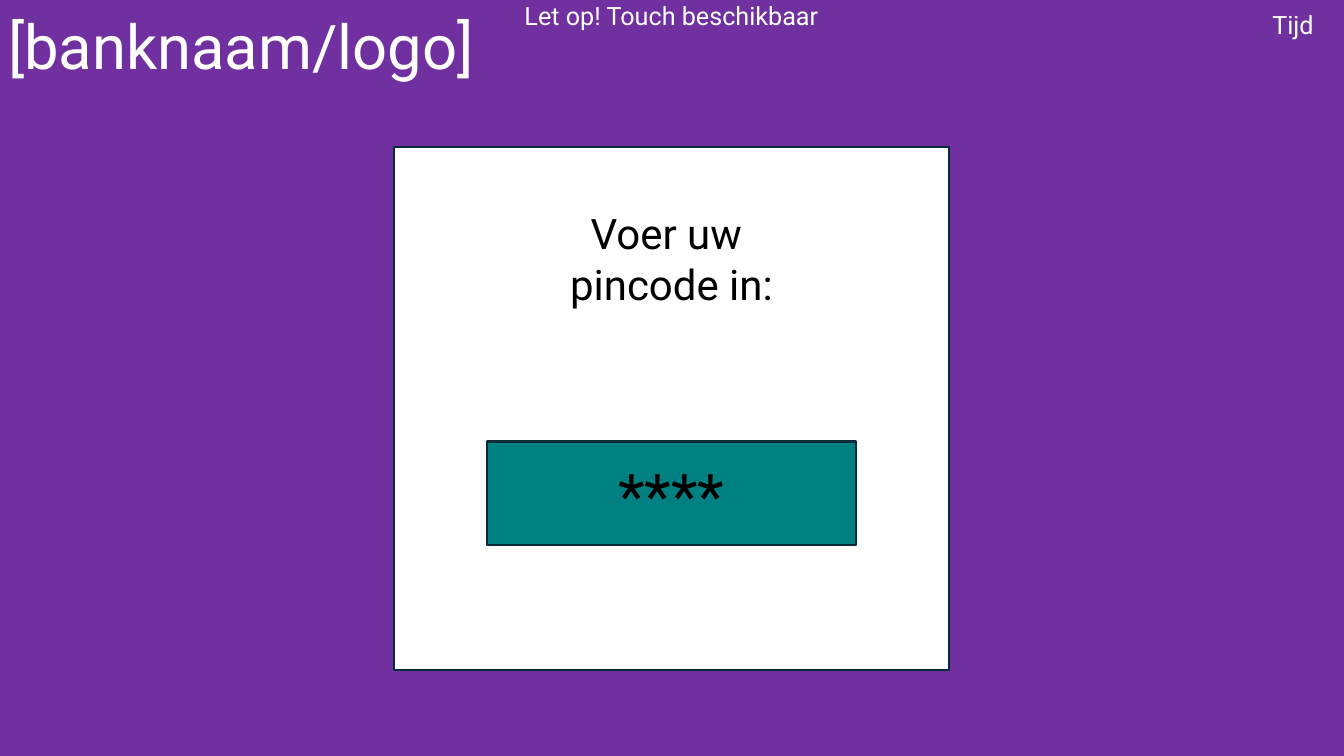
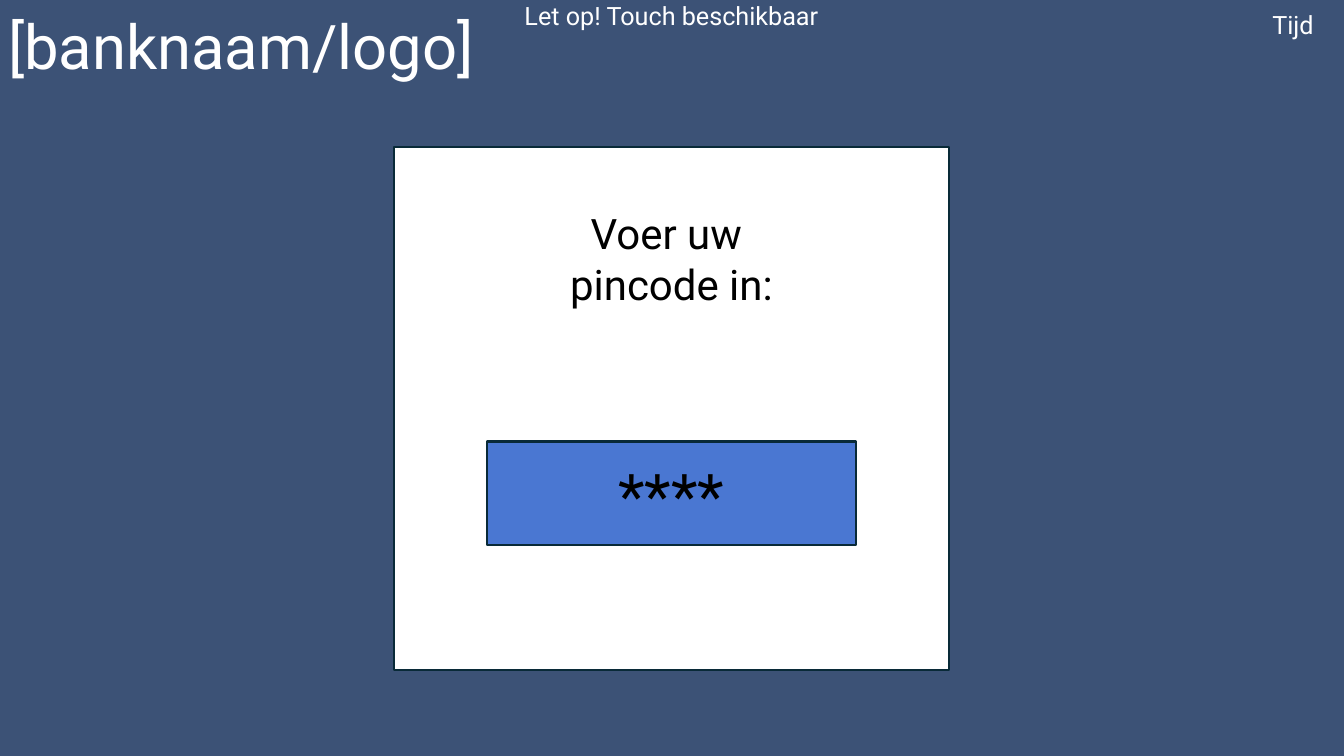
"""Build two colour themes of a cash machine's PIN entry screen."""
from pptx import Presentation
from pptx import util as u
from pptx.dml.color import RGBColor
from pptx.enum import shapes, text

FONT = "Roboto"
COLORS = {
    "white": "FFFFFF", "black": "000000", "outline": "092A38",
    "purple": "7030A0", "teal": "008080", "navy": "3C5276", "blue": "4A77D2",
}
THEMES = [("purple", "teal"), ("navy", "blue")]
SLIDE_W, SLIDE_H = 13.34, 7.5
HEADER = (0, 0, 13.33, 1.22)
PANEL = (3.91, 1.46, 5.51, 5.19)
CENTER, LEFT = text.PP_ALIGN.CENTER, text.PP_ALIGN.LEFT
MIDDLE, TOP = text.MSO_ANCHOR.MIDDLE, text.MSO_ANCHOR.TOP


def rgb(name):
    """Return the named colour."""
    return RGBColor.from_string(COLORS[name])


def place(sp, box):
    """Move and size a shape to a box in inches."""
    for attr, value in zip(("left", "top", "width", "height"), box):
        setattr(sp, attr, u.Inches(value))


def write(sp, lines, size, color, align=CENTER, anchor=MIDDLE, spacing=1.0,
          side=0.1, top=0.05):
    """Fill a shape with formatted paragraphs."""
    tf = sp.text_frame
    frame = {
        "word_wrap": True, "auto_size": text.MSO_AUTO_SIZE.NONE,
        "vertical_anchor": anchor,
        "margin_left": u.Inches(side), "margin_right": u.Inches(side),
        "margin_top": u.Inches(top), "margin_bottom": u.Inches(0.05),
    }
    for attr, value in frame.items():
        setattr(tf, attr, value)
    for i, line in enumerate(lines):
        p = tf.add_paragraph() if i else tf.paragraphs[0]
        p.alignment, p.line_spacing = align, spacing
        p.space_before = p.space_after = u.Pt(0.1)
        r = p.add_run()
        r.text = line
        for attr, value in {"name": FONT, "size": u.Pt(size)}.items():
            setattr(r.font, attr, value)
        r.font.color.rgb = rgb(color)


def add_box(s, box, fill):
    """Add an outlined rectangle."""
    sp = s.shapes.add_shape(shapes.MSO_SHAPE.RECTANGLE, *map(u.Inches, box))
    sp.shadow.inherit = False
    sp.fill.solid()
    sp.fill.fore_color.rgb = rgb(fill)
    sp.line.color.rgb = rgb("outline")
    sp.line.width = u.Pt(1.5)
    return sp


def add_header(s, box):
    """Place the bank name, the clock and the touch notice."""
    x, y, w, h = box
    title = s.shapes.title
    place(title, (x, y - 0.23, w, h + 0.23))
    write(title, ["[banknaam/logo]"], 44, "white", LEFT, spacing=0.9, side=0.08)
    clock_w, notice_w = 0.93, 4.85
    labels = [
        ("Tijd ", (x + w - clock_w, y, clock_w, 0.49)),
        ("Let op! Touch beschikbaar", (x + (w - notice_w) / 2, y + 0.01, notice_w, 0.28)),
    ]
    for label, area in labels:
        write(s.shapes.add_textbox(*map(u.Inches, area)), [label], 18, "white")


def add_pin_panel(s, box, fill):
    """Place the white panel with its prompt and centred PIN field."""
    x, y, w, h = box
    write(add_box(s, box, "white"), ["Voer uw ", "pincode in:"], 30, "black",
          anchor=TOP, top=0.6)
    field_w, field_h = 3.67, 1.03
    field = add_box(s, (x + (w - field_w) / 2, y + 2.92, field_w, field_h), fill)
    write(field, ["****"], 44, "black")


def add_pin_slide(prs, background, field_fill):
    """Add one PIN entry screen in the given theme."""
    s = prs.slides.add_slide(prs.slide_layouts[5])
    s.background.fill.solid()
    s.background.fill.fore_color.rgb = rgb(background)
    add_header(s, HEADER)
    add_pin_panel(s, PANEL, field_fill)


def main():
    """Build and save the presentation."""
    prs = Presentation()
    prs.slide_width, prs.slide_height = u.Inches(SLIDE_W), u.Inches(SLIDE_H)
    for background, field_fill in THEMES:
        add_pin_slide(prs, background, field_fill)
    prs.save("out.pptx")


if __name__ == "__main__":
    main()
